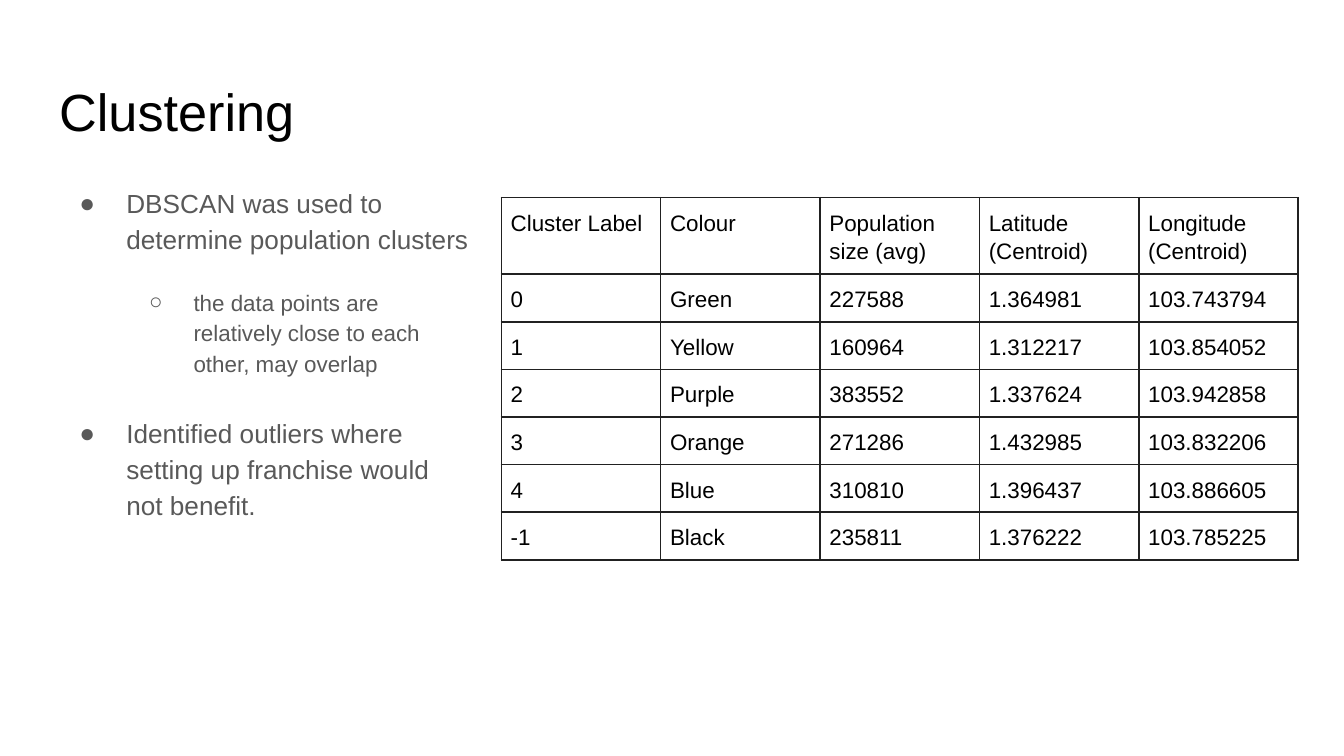
from dataclasses import dataclass

from lxml import etree
from pptx import Presentation
from pptx.dml.color import RGBColor
from pptx.enum.text import MSO_ANCHOR, MSO_AUTO_SIZE, PP_ALIGN
from pptx.oxml.ns import qn
from pptx.util import Inches, Pt

TOP, LEFT, NO_FIT = MSO_ANCHOR.TOP, PP_ALIGN.LEFT, MSO_AUTO_SIZE.NONE


@dataclass(frozen=True)
class Theme:
    font: str = "Arial"
    ink: str = "000000"
    muted: str = "595959"
    border: str = "212121"
    title: int = 28
    body: int = 14
    small: int = 12


theme = Theme()


def write(p, text, size=theme.small, color=theme.ink, spacing=1.15,
          before=0, bullet=None, level=0, indent=0, hang=0):
    p.alignment, p.level = LEFT, level
    p.line_spacing, p.space_before, p.space_after = spacing, Pt(before), Pt(0)
    r = p.add_run()
    r.text = text
    r.font.name, r.font.size, r.font.bold = theme.font, Pt(size), False
    r.font.color.rgb = RGBColor.from_string(color)
    if bullet:
        pPr = p._p.get_or_add_pPr()
        pPr.set("marL", str(Inches(indent)))
        pPr.set("indent", str(-Inches(hang)))
        bu_color = etree.SubElement(pPr, qn("a:buClr"))
        etree.SubElement(bu_color, qn("a:srgbClr"), val=color)
        etree.SubElement(pPr, qn("a:buFont"), typeface=theme.font)
        etree.SubElement(pPr, qn("a:buChar"), char=bullet)


def border_cell(cell):
    tcPr = cell._tc.get_or_add_tcPr()
    for i, side in enumerate(("lnL", "lnR", "lnT", "lnB")):
        ln = etree.Element(qn(f"a:{side}"), w=str(Pt(1)))
        fill = etree.SubElement(ln, qn("a:solidFill"))
        etree.SubElement(fill, qn("a:srgbClr"), val=theme.border)
        tcPr.insert(i, ln)


prs = Presentation()
prs.slide_width = Inches(10)
prs.slide_height = prs.slide_width * 9 // 16
s = prs.slides.add_slide(prs.slide_layouts[1])
margin = Inches(0.34)
content_w = prs.slide_width - 2 * margin

# Title and list placeholders
title, body = s.placeholders
for sp, top, width, height in ((title, 0.49, content_w, 0.63),
                               (body, 1.26, int(content_w * 0.35), 3.74)):
    sp.left, sp.top, sp.width, sp.height = margin, Inches(top), width, Inches(height)
    tf = sp.text_frame
    tf.word_wrap, tf.auto_size, tf.vertical_anchor = True, NO_FIT, TOP
    tf.margin_left = tf.margin_right = tf.margin_top = tf.margin_bottom = Inches(0.1)

write(title.text_frame.paragraphs[0], "Clustering", size=theme.title, spacing=1.0)

points = [
    (0, 0, "DBSCAN was used to determine population clusters"),
    (1, 16, "the data points are relatively close to each other, may overlap"),
    (0, 19, "Identified outliers where setting up franchise would not benefit."),
]
levels = [
    dict(size=theme.body, bullet="●", indent=0.5, hang=0.35),
    dict(size=theme.small, bullet="○", indent=1, hang=0.33),
]
tf = body.text_frame
for i, (level, before, text) in enumerate(points):
    p = tf.add_paragraph() if i else tf.paragraphs[0]
    write(p, text, color=theme.muted, before=before, level=level, **levels[level])

# Cluster table
clusters = [
    ("Cluster Label", "Colour", "Population size (avg)",
     "Latitude (Centroid)", "Longitude (Centroid)"),
    ("0", "Green", "227588", "1.364981", "103.743794"),
    ("1", "Yellow", "160964", "1.312217", "103.854052"),
    ("2", "Purple", "383552", "1.337624", "103.942858"),
    ("3", "Orange", "271286", "1.432985", "103.832206"),
    ("4", "Blue", "310810", "1.396437", "103.886605"),
    ("-1", "Black", "235811", "1.376222", "103.785225"),
]
n_rows, n_cols = len(clusters), len(clusters[0])
table_left = Inches(3.73)
table_w = prs.slide_width - margin - table_left
table = s.shapes.add_table(n_rows, n_cols, table_left, Inches(1.47),
                           table_w, Inches(2.68)).table
table.first_row = table.horz_banding = False
for col in table.columns:
    col.width = table_w // n_cols
for i, values in enumerate(clusters):
    table.rows[i].height = Inches(0.35 if i else 0.57)
    for j, value in enumerate(values):
        cell = table.cell(i, j)
        cell.margin_left = cell.margin_right = Inches(0.07)
        cell.margin_top = cell.margin_bottom = Inches(0.07)
        cell.vertical_anchor = TOP
        cell.fill.background()
        border_cell(cell)
        write(cell.text_frame.paragraphs[0], value)

prs.save("out.pptx")
